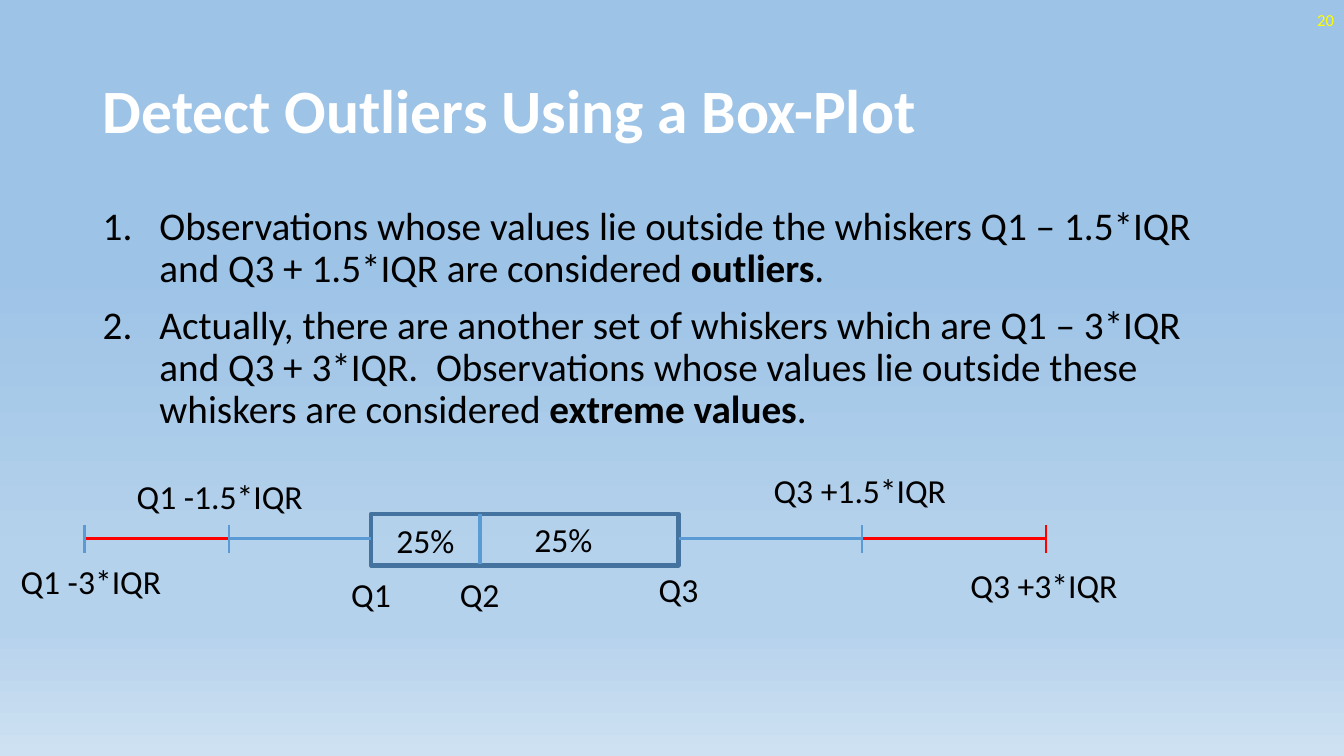
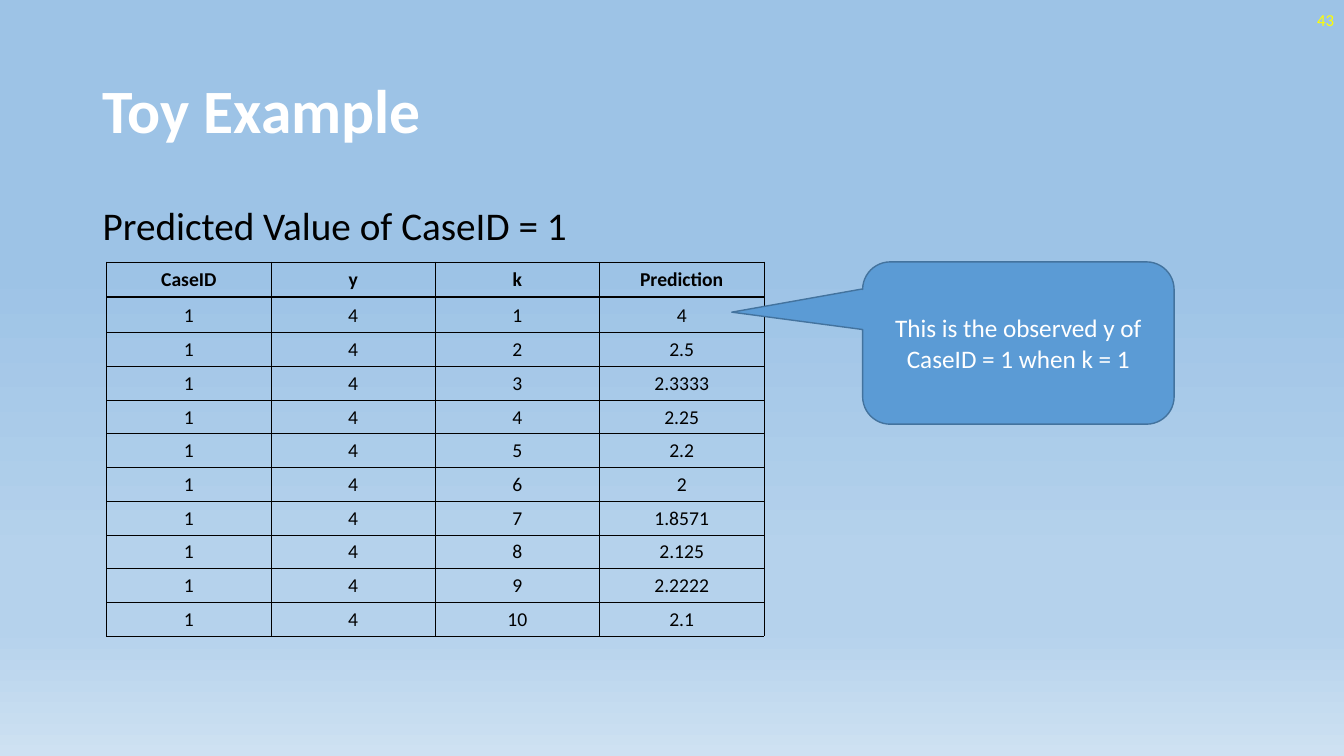
from dataclasses import dataclass

from lxml.etree import SubElement as Sub
from pptx import Presentation
from pptx.dml.color import RGBColor as Rgb
from pptx.enum.shapes import MSO_CONNECTOR as Conn, MSO_SHAPE as Form
from pptx.enum.text import MSO_ANCHOR as Anchor, PP_ALIGN as Align
from pptx.oxml.ns import qn
from pptx.util import Cm, Pt


@dataclass(frozen=True)
class Theme:
    font: str = "Calibri"
    black: str = "000000"
    white: str = "FFFFFF"
    blue: str = "5B9BD5"
    edge: str = "43739E"
    red: str = "FF0000"
    yellow: str = "FFFF00"
    sky: tuple = ((35, "9DC3E6"), (74, "B5D2EC"), (83, "B5D2EC"), (100, "CEE1F2"))
    title: int = 44
    body: int = 28
    label: int = 24
    note: int = 18
    cell: int = 14
    page: int = 12


class Deck:
    def __init__(self, theme):
        self.theme = theme
        self.prs = Presentation()
        self.prs.slide_width = Cm(33.87)
        self.prs.slide_height = Cm(19.05)
        self.slide = None
        self.paint()

    def paint(self):
        master = self.prs.slide_master
        fill = master.background.fill
        fill.gradient()
        fill.gradient_angle = 270
        stops = next(master.element.iter(qn("a:gsLst")))
        for stop in list(stops):
            stops.remove(stop)
        for place, color in self.theme.sky:
            stop = Sub(stops, qn("a:gs"), pos=str(place * 1000))
            Sub(stop, qn("a:srgbClr"), val=color)

    def start(self, title, page):
        t = self.theme
        self.slide = self.prs.slides.add_slide(self.prs.slide_layouts[6])
        self.text((2.34, 1.02, 29.21, 3.68), [[(title, True)]], t.title, t.white,
                  anchor=Anchor.MIDDLE, lead=0.9)
        self.text((26.25, 0, 7.62, 1.02), [[(page, False)]], t.page, t.yellow,
                  align=Align.RIGHT, anchor=Anchor.MIDDLE)

    def runs(self, para, parts, size, color, align):
        para.alignment = align
        for words, bold in parts:
            run = para.add_run()
            run.text = words
            font = run.font
            font.name = self.theme.font
            font.size = Pt(size)
            font.bold = bold
            font.color.rgb = Rgb.from_string(color)

    def text(self, box, paras, size, color, align=Align.LEFT,
             anchor=Anchor.TOP, lead=1.0, gap=0, count=False):
        frame = self.slide.shapes.add_textbox(*map(Cm, box)).text_frame
        frame.word_wrap = True
        frame.vertical_anchor = anchor
        for i, parts in enumerate(paras):
            para = frame.add_paragraph() if i else frame.paragraphs[0]
            para.line_spacing = lead
            para.space_before = Pt(gap)
            self.runs(para, parts, size, color, align)
            if count:
                props = para._p.get_or_add_pPr()
                props.set("marL", str(Cm(1.43)))
                props.set("indent", str(-Cm(1.43)))
                Sub(props, qn("a:buFont"), typeface="+mj-lt")
                Sub(props, qn("a:buAutoNum"), type="arabicPeriod")

    def body(self, box, paras, count=False):
        self.text(box, paras, self.theme.body, self.theme.black,
                  lead=0.9, gap=10, count=count)

    def label(self, words, mid, top, width):
        self.text((mid - width / 2, top, width, 1.27), [[(words, False)]],
                  self.theme.label, self.theme.black, align=Align.CENTER)

    def line(self, start, end, color, width):
        link = self.slide.shapes.add_connector(
            Conn.STRAIGHT, *map(Cm, (*start, *end)))
        link.line.color.rgb = Rgb.from_string(color)
        link.line.width = Pt(width)
        Sub(link.element.spPr, qn("a:effectLst"))

    def shape(self, form, box, width, fill=None):
        item = self.slide.shapes.add_shape(form, *map(Cm, box))
        item.shadow.inherit = False
        if fill:
            item.fill.solid()
            item.fill.fore_color.rgb = Rgb.from_string(fill)
        else:
            item.fill.background()
        item.line.color.rgb = Rgb.from_string(self.theme.edge)
        item.line.width = Pt(width)
        return item

    def bubble(self, box, words, tail):
        t = self.theme
        item = self.shape(Form.ROUNDED_RECTANGULAR_CALLOUT, box, 1, t.blue)
        for i, value in enumerate(tail):
            item.adjustments[i] = value
        frame = item.text_frame
        frame.word_wrap = True
        frame.vertical_anchor = Anchor.MIDDLE
        self.runs(frame.paragraphs[0], [(words, False)], t.note, t.white, Align.CENTER)

    def border(self, cell, sides):
        props = cell._tc.get_or_add_tcPr()
        for side, width in sides.items():
            edge = Sub(props, qn(f"a:ln{side}"), w=str(Pt(width)))
            fill = Sub(edge, qn("a:solidFill"))
            Sub(fill, qn("a:srgbClr"), val=self.theme.black)

    def table(self, left, top, wide, highs, rows):
        cols = len(rows[0])
        grid = self.slide.shapes.add_table(
            len(rows), cols, Cm(left), Cm(top), Cm(wide * cols), Cm(sum(highs))).table
        grid.first_row = grid.horz_banding = False
        for col in grid.columns:
            col.width = Cm(wide)
        for r, (high, row) in enumerate(zip(highs, rows)):
            grid.rows[r].height = Cm(high)
            for c, words in enumerate(row):
                cell = grid.cell(r, c)
                cell.margin_left = cell.margin_right = cell.margin_top = Cm(0.02)
                cell.margin_bottom = Cm(0)
                cell.vertical_anchor = Anchor.MIDDLE
                self.border(cell, {"L": 0.5, "R": 0.5,
                                   "T": 2 if r == 1 else 0.5,
                                   "B": 2 if r == 0 else 0.5})
                cell.fill.background()
                self.runs(cell.text_frame.paragraphs[0], [(words, r == 0)],
                          self.theme.cell, self.theme.black, Align.CENTER)


def box_plot(deck):
    t = deck.theme
    deck.start("Detect Outliers Using a Box-Plot", "20")
    deck.body((2.34, 5.08, 29.21, 12.09), [
        [("Observations whose values lie outside the whiskers Q1 – 1.5*IQR "
          "and Q3 + 1.5*IQR are considered ", False),
         ("outliers", True), (".", False)],
        [("Actually, there are another set of whiskers which are Q1 – 3*IQR "
          "and Q3 + 3*IQR.  Observations whose values lie outside these "
          "whiskers are considered ", False),
         ("extreme values", True), (".", False)],
    ], count=True)

    low, near, q1, q2, q3, far, high = 2.13, 5.77, 9.35, 12.09, 17.1, 21.72, 26.37
    top, mid, half = 12.95, 13.58, 0.35
    deck.shape(Form.RECTANGLE, (q1, top, q3 - q1, 1.3), 3)
    deck.line((q2, top), (q2, top + 1.27), t.blue, 3)
    for start, end, color in ((q3, far, t.blue), (near, q1, t.blue),
                              (far, high, t.red), (low, near, t.red)):
        deck.line((start, mid), (end, mid), color, 2.25)
    for x, color in ((near, t.blue), (far, t.blue), (high, t.red), (low, t.blue)):
        deck.line((x, mid - half), (x, mid + half), color, 1.5)
    for words, x, y, width in (
            ("Q1", q1, 14.33, 1.7), ("Q2", q2, 14.33, 1.7), ("Q3", q3, 14.22, 1.7),
            ("25%", 10.72, 12.98, 2.3), ("25%", 14.2, 12.95, 2.3),
            ("Q1 -1.5*IQR", 5.54, 11.86, 5.3), ("Q3 +1.5*IQR", 21.67, 11.71, 5.3),
            ("Q3 +3*IQR", 26.31, 14.1, 4.5), ("Q1 -3*IQR", 2.29, 14, 4.5)):
        deck.label(words, x, y, width)


def toy_case(deck):
    deck.start("Toy Example", "43")
    deck.body((2.34, 5.08, 14.6, 1.5), [[("Predicted Value of CaseID = 1", False)]])
    preds = "4 2.5 2.3333 2.25 2.2 2 1.8571 2.125 2.2222 2.1".split()
    rows = [("CaseID", "y", "k", "Prediction")]
    rows += [("1", "4", str(k), pred) for k, pred in enumerate(preds, 1)]
    deck.table(2.69, 6.6, 4.14, [0.89] * 2 + [0.85] * 9, rows)
    deck.bubble((21.74, 6.6, 7.85, 4.09),
                "This is the observed y of CaseID = 1 when k = 1",
                (-0.92, -0.19, 0.17))


def main():
    deck = Deck(Theme())
    box_plot(deck)
    toy_case(deck)
    deck.prs.save("out.pptx")


if __name__ == "__main__":
    main()
